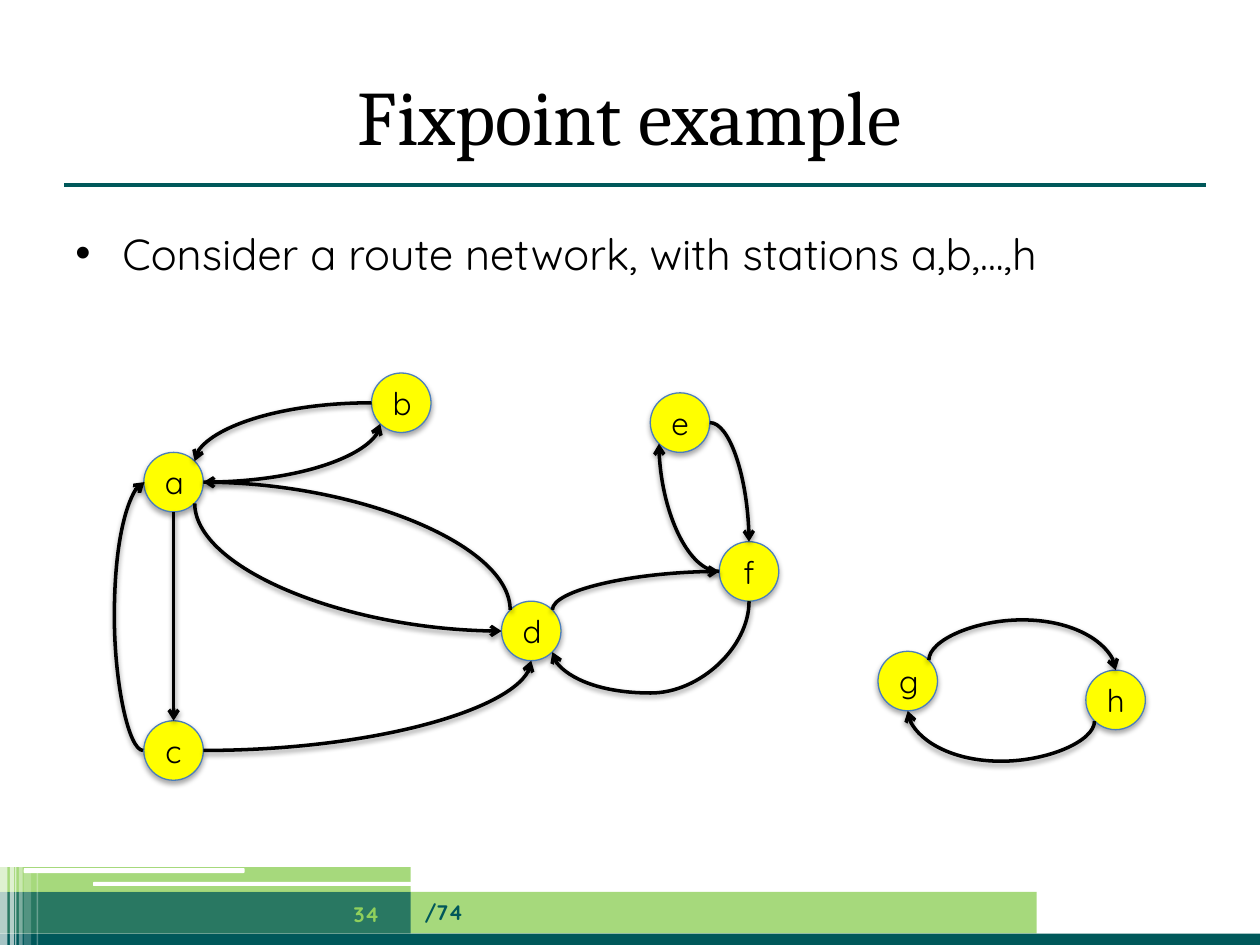
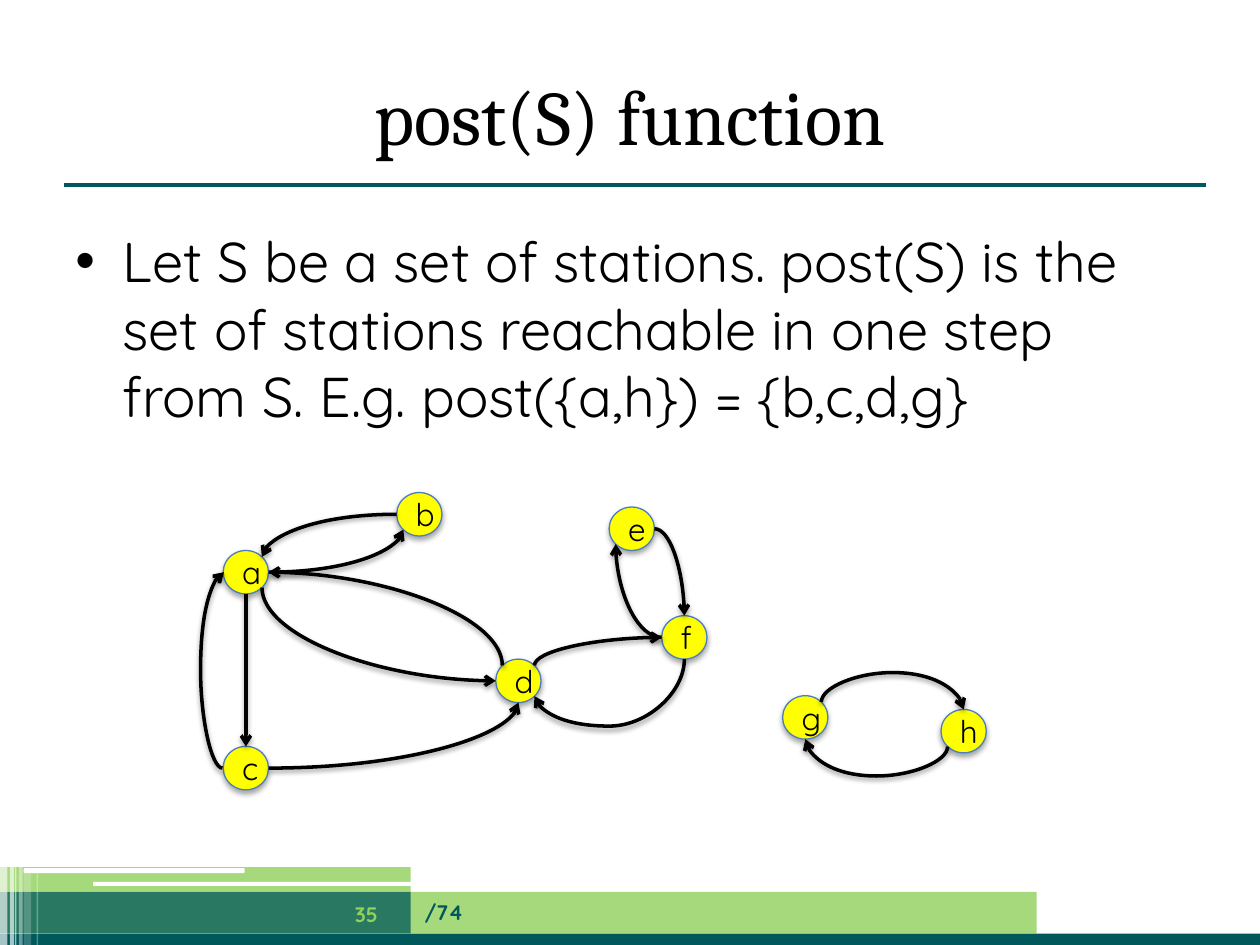
from dataclasses import dataclass
from typing import Any, NamedTuple

import pptx
import pptx.dml.color
import pptx.enum.shapes
import pptx.enum.text
import pptx.oxml
import pptx.oxml.ns
import pptx.util

Cm = pptx.util.Cm
Pt = pptx.util.Pt
Shapes = pptx.enum.shapes.MSO_SHAPE
Connectors = pptx.enum.shapes.MSO_CONNECTOR
Align = pptx.enum.text.PP_ALIGN
Anchor = pptx.enum.text.MSO_ANCHOR
qn = pptx.oxml.ns.qn
NAMESPACE = pptx.oxml.ns.nsdecls("a")


@dataclass(frozen=True)
class Theme:
    ink: str = "000000"
    paper: str = "FFFFFF"
    teal: str = "00585A"
    green: str = "90D05C"
    station: str = "FFFF00"
    station_edge: str = "4B7EBC"
    title_font: str = "Cambria"
    text_font: str = "Quicksand"
    title_size: float = 44
    station_size: float = 18
    footer_size: float = 12


THEME = Theme()


class Frame(NamedTuple):
    """A place on the page, in centimetres."""
    left: float
    top: float
    width: float
    height: float

    def lengths(self) -> list[int]:
        return [Cm(value) for value in self]


class Band(NamedTuple):
    frame: Frame
    color: str
    opacity: int = 100
    kind: Any = Shapes.RECTANGLE


class Station(NamedTuple):
    name: str
    left: float
    top: float


class Route(NamedTuple):
    """A curve between two stations; bow is how far its middle swings from its start."""
    start: str
    start_site: str
    end: str
    end_site: str
    bow: float | None = None


class Placement(NamedTuple):
    left: float = 0
    top: float = 0
    scale_x: float = 1
    scale_y: float = 1


class Lesson(NamedTuple):
    title: str
    text: str
    text_size: float
    text_height: float
    placement: Placement


PAGE_WIDTH, PAGE_HEIGHT = 25.4, 19.05
FIRST_NUMBER, LAST_NUMBER = 34, 74
TITLE_FRAME = Frame(1.27, 1.12, 22.86, 2.39)
TOTAL_FRAME = Frame(8.31, 17.88, 12.6, 1.02)
NUMBER_FRAME = Frame(6.5, 17.91, 1.78, 1.02)


def stripe(left: float, width: float, top: float, opacity: int) -> Band:
    return Band(Frame(left, top, width, PAGE_HEIGHT - top), THEME.paper, opacity)


FOOTER_BANDS = [
    Band(Frame(0, 17.98, 20.9, 0.84), THEME.green, 80),
    Band(Frame(0, 18.82, PAGE_WIDTH, 0.23), THEME.teal),
    Band(Frame(0, 17.98, 8.28, 0.84), THEME.teal, 75),
    Band(Frame(0, 17.48, 8.28, 0.5), THEME.green, 80),
    Band(Frame(1.88, 17.78, 8.51, 0.08), THEME.paper, kind=Shapes.ROUNDED_RECTANGLE),
    Band(Frame(0.48, 17.5, 4.45, 0.1), THEME.paper, kind=Shapes.ROUNDED_RECTANGLE),
    stripe(0, 0.15, 17.42, 65),
    stripe(0.2, 0.08, 17.42, 65),
    stripe(0.3, 0.03, 17.42, 60),
    stripe(0.38, 0.08, 17.42, 40),
    stripe(0.48, 0.15, 17.53, 20),
    stripe(0.74, 0.03, 17.53, 30),
]

STATION_SIZE = 1.2
STATIONS = [
    Station("a", 2.9, 9.12),
    Station("c", 2.9, 14.53),
    Station("b", 7.49, 7.52),
    Station("d", 10.11, 12.12),
    Station("e", 13.11, 7.92),
    Station("g", 17.7, 13.13),
    Station("f", 14.5, 10.92),
    Station("h", 21.89, 13.51),
]
ROUTES = [
    Route("g", "NE", "h", "N", -0.81),
    Route("h", "SW", "g", "S", 0.81),
    Route("a", "E", "b", "SW"),
    Route("a", "S", "c", "N", 2.1),
    Route("a", "SE", "d", "W"),
    Route("c", "E", "d", "S"),
    Route("b", "W", "a", "NE"),
    Route("c", "W", "a", "W", -0.58),
    Route("d", "NW", "a", "E"),
    Route("d", "NE", "f", "W"),
    Route("f", "S", "d", "SE", 1.85),
    Route("e", "E", "f", "N"),
    Route("f", "W", "e", "SW"),
]
# Connection sites of an ellipse in their numbered order, as shares of its box
NEAR, FAR = 0.146, 0.854
SITES = {
    "N": (0.5, 0), "NW": (NEAR, NEAR), "W": (0, 0.5), "SW": (NEAR, FAR),
    "S": (0.5, 1), "SE": (FAR, FAR), "E": (1, 0.5), "NE": (FAR, NEAR),
}
SITE_NUMBERS = {site: number for number, site in enumerate(SITES)}

LESSONS = [
    Lesson("Fixpoint example", "Consider a route network, with stations a,b,...,h",
           24.8, 1.88, Placement()),
    Lesson("post(S) function",
           "Let S be a set of stations. post(S) is the set of stations reachable in one "
           "step from S. E.g. post({a,h}) = {b,c,d,g}",
           32, 12.57, Placement(2.29, 4.44, 0.762, 0.73)),
]


def rgb(color: str) -> pptx.dml.color.RGBColor:
    return pptx.dml.color.RGBColor.from_string(color)


def apply_format(target: Any, values: dict[str, Any]) -> None:
    for name, value in values.items():
        setattr(target, name, value)


def write(box: Any, text: str, size: float, color: str = THEME.ink,
          font: str = THEME.text_font, align: Any = Align.LEFT, bold: bool = False) -> Any:
    """Put one line of formatted text in a shape and return its paragraph."""
    para = box.text_frame.paragraphs[0]
    para.alignment = align
    span = para.add_run()
    span.text = text
    apply_format(span.font, {"name": font, "size": Pt(size), "bold": bold})
    span.font.color.rgb = rgb(color)
    return para


def add_text_box(page: Any, frame: Frame, anchor: Any) -> Any:
    box = page.shapes.add_textbox(*frame.lengths())
    apply_format(box.text_frame, {"word_wrap": True, "vertical_anchor": anchor})
    return box


def set_effects(shape: Any, distance: float = 0, opacity: int = 0) -> None:
    """Replace the inherited shadow by none, or by a soft one straight below."""
    properties = shape._element.spPr
    for old in properties.findall(qn("a:effectLst")):
        properties.remove(old)
    shadow = "" if not opacity else (
        f'<a:outerShdw blurRad="{Pt(3.1)}" dist="{Pt(distance)}" dir="5400000" '
        f'rotWithShape="0"><a:srgbClr val="{THEME.ink}">'
        f'<a:alpha val="{opacity * 1000}"/></a:srgbClr></a:outerShdw>')
    properties.append(pptx.oxml.parse_xml(
        f"<a:effectLst {NAMESPACE}>{shadow}</a:effectLst>"))


def style_line(line: Any, color: str, width: float) -> None:
    line.color.rgb = rgb(color)
    line.width = Pt(width)


def add_band(page: Any, band: Band) -> None:
    shape = page.shapes.add_shape(band.kind, *band.frame.lengths())
    shape.shadow.inherit = False
    shape.fill.solid()
    shape.fill.fore_color.rgb = rgb(band.color)
    shape.line.fill.background()
    if band.opacity < 100:
        color = shape._element.spPr.find(".//" + qn("a:srgbClr"))
        color.append(pptx.oxml.parse_xml(
            f'<a:alpha {NAMESPACE} val="{band.opacity * 1000}"/>'))


def add_frame(page: Any, title: str, number: int) -> None:
    """Draw what every page has: footer, rule, title and page number."""
    for band in FOOTER_BANDS:
        add_band(page, band)
    rule = page.shapes.add_connector(
        Connectors.STRAIGHT, Cm(1.3), Cm(3.73), Cm(24.31), Cm(3.73))
    style_line(rule.line, THEME.teal, 2.25)
    set_effects(rule)

    heading = page.shapes.title
    apply_format(heading, dict(zip(Frame._fields, TITLE_FRAME.lengths())))
    heading.text_frame.vertical_anchor = Anchor.MIDDLE
    write(heading, title, THEME.title_size, font=THEME.title_font, align=Align.CENTER)

    total = add_text_box(page, TOTAL_FRAME, Anchor.MIDDLE)
    write(total, f"/{LAST_NUMBER}", THEME.footer_size, THEME.teal, bold=True)
    counter = add_text_box(page, NUMBER_FRAME, Anchor.MIDDLE)
    write(counter, str(number), THEME.footer_size, THEME.green,
          align=Align.CENTER, bold=True)


def add_bullet_text(page: Any, lesson: Lesson) -> None:
    box = add_text_box(page, Frame(1.27, 4.45, 22.86, lesson.text_height), Anchor.TOP)
    para = write(box, lesson.text, lesson.text_size)
    properties = para._p.get_or_add_pPr()
    apply_format_xml = {"marL": Cm(0.95), "indent": -Cm(0.95)}
    for name, value in apply_format_xml.items():
        properties.set(name, str(value))
    for tag in ('buFont {} typeface="Arial"', 'buChar {} char="•"'):
        properties.append(pptx.oxml.parse_xml(f"<a:{tag.format(NAMESPACE)}/>"))


def add_station(page: Any, station: Station, placement: Placement) -> Any:
    frame = Frame(placement.left + station.left * placement.scale_x,
                  placement.top + station.top * placement.scale_y,
                  STATION_SIZE * placement.scale_x, STATION_SIZE * placement.scale_y)
    circle = page.shapes.add_shape(Shapes.OVAL, *frame.lengths())
    circle.fill.solid()
    circle.fill.fore_color.rgb = rgb(THEME.station)
    style_line(circle.line, THEME.station_edge, 0.75)
    set_effects(circle, distance=1.8, opacity=35)
    circle.text_frame.vertical_anchor = Anchor.MIDDLE
    write(circle, station.name, THEME.station_size, align=Align.CENTER)
    return circle


def site_point(circle: Any, site: str) -> tuple[int, int]:
    across, down = SITES[site]
    return (round(circle.left + across * circle.width),
            round(circle.top + down * circle.height))


def add_route(page: Any, route: Route, circles: dict[str, Any], placement: Placement) -> None:
    start, end = circles[route.start], circles[route.end]
    (x1, y1), (x2, y2) = site_point(start, route.start_site), site_point(end, route.end_site)
    curve = page.shapes.add_connector(Connectors.CURVE, x1, y1, x2, y2)
    style_line(curve.line, THEME.ink, 2)
    curve.line._get_or_add_ln().append(
        pptx.oxml.parse_xml(f'<a:tailEnd {NAMESPACE} type="arrow"/>'))
    set_effects(curve, distance=1.6, opacity=38)

    # A curve leaves sideways from E and W; from other sites it is turned to leave vertically.
    sideways = route.start_site in ("E", "W")
    run, rise = (x2 - x1, y2 - y1) if sideways else (y2 - y1, x1 - x2)
    width, height = max(abs(run), Cm(0.03)), abs(rise)
    apply_format(curve, {
        "left": round((x1 + x2 - width) / 2), "top": round((y1 + y2 - height) / 2),
        "width": width, "height": height, "rotation": 0 if sideways else 90})
    transform = curve._element.spPr.find(qn("a:xfrm"))
    apply_format(transform, {"flipH": run < 0, "flipV": rise < 0})

    geometry = curve._element.spPr.find(qn("a:prstGeom"))
    if route.bow is None:
        geometry.set("prst", "curvedConnector2")
    else:
        scale = placement.scale_x if sideways else placement.scale_y
        share = Cm(route.bow * scale) / width * (-1 if run < 0 else 1)
        geometry.find(qn("a:avLst")).append(pptx.oxml.parse_xml(
            f'<a:gd {NAMESPACE} name="adj1" fmla="val {round(share * 100000)}"/>'))

    joints = curve._element.find(".//" + qn("p:cNvCxnSpPr"))
    for tag, circle, site in (("stCxn", start, route.start_site),
                              ("endCxn", end, route.end_site)):
        joints.append(pptx.oxml.parse_xml(
            f'<a:{tag} {NAMESPACE} id="{circle.shape_id}" idx="{SITE_NUMBERS[site]}"/>'))


def main() -> None:
    deck = pptx.Presentation()
    deck.slide_width, deck.slide_height = Cm(PAGE_WIDTH), Cm(PAGE_HEIGHT)
    for number, lesson in enumerate(LESSONS, FIRST_NUMBER):
        page = deck.slides.add_slide(deck.slide_layouts.get_by_name("Title Only"))
        add_frame(page, lesson.title, number)
        add_bullet_text(page, lesson)
        circles = {station.name: add_station(page, station, lesson.placement)
                   for station in STATIONS}
        for route in ROUTES:
            add_route(page, route, circles, lesson.placement)
    deck.save("out.pptx")


if __name__ == "__main__":
    main()
